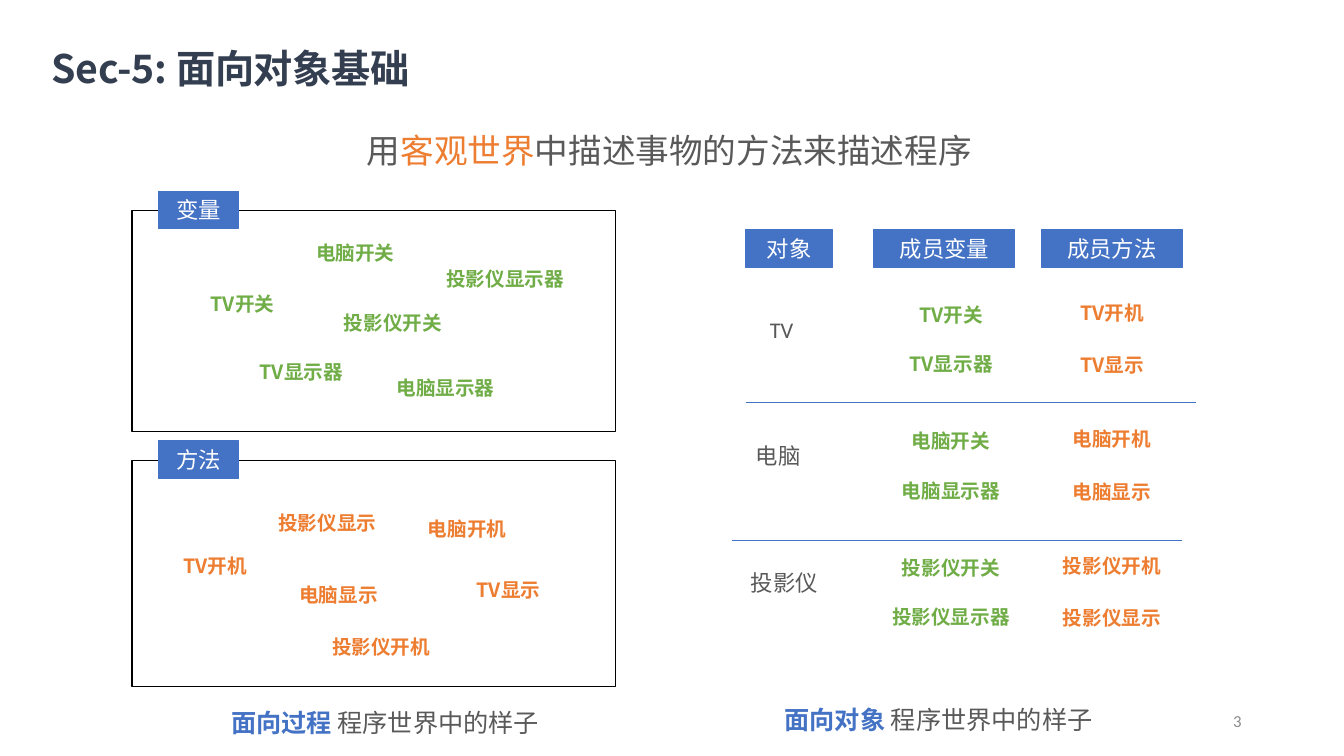
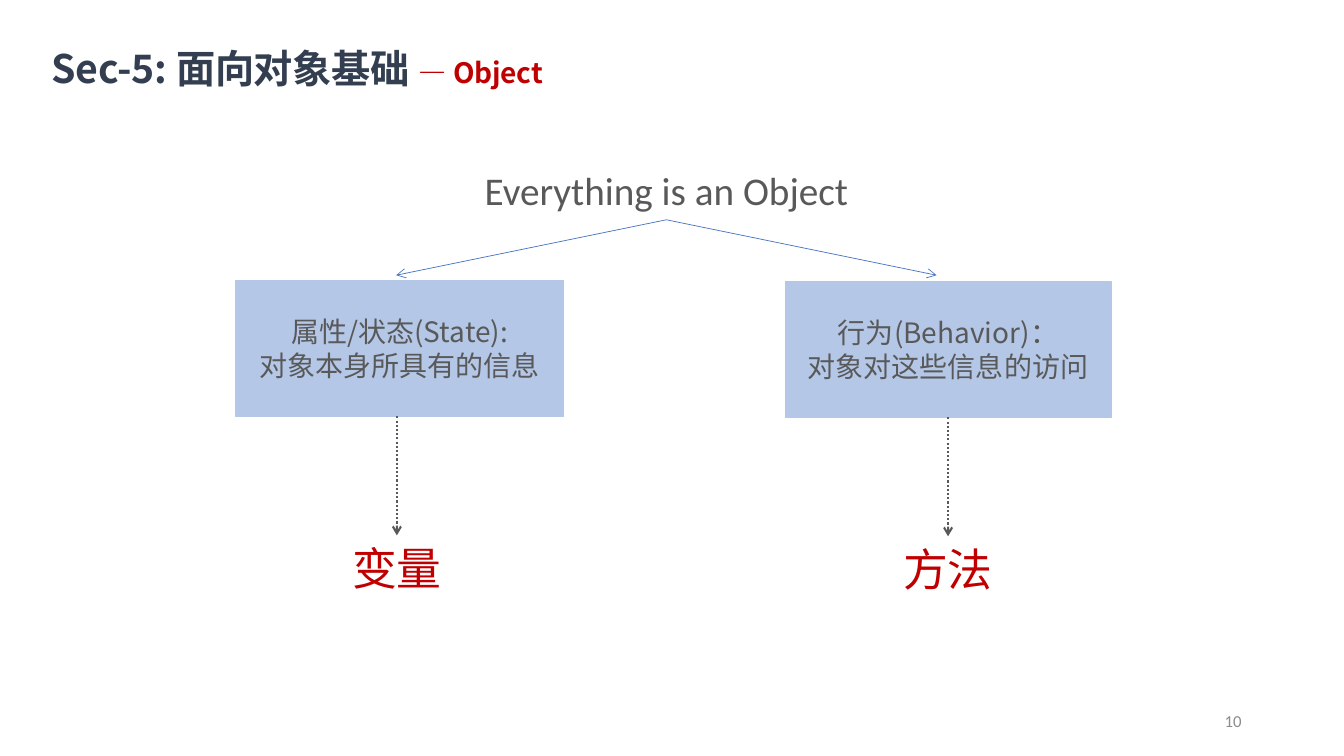
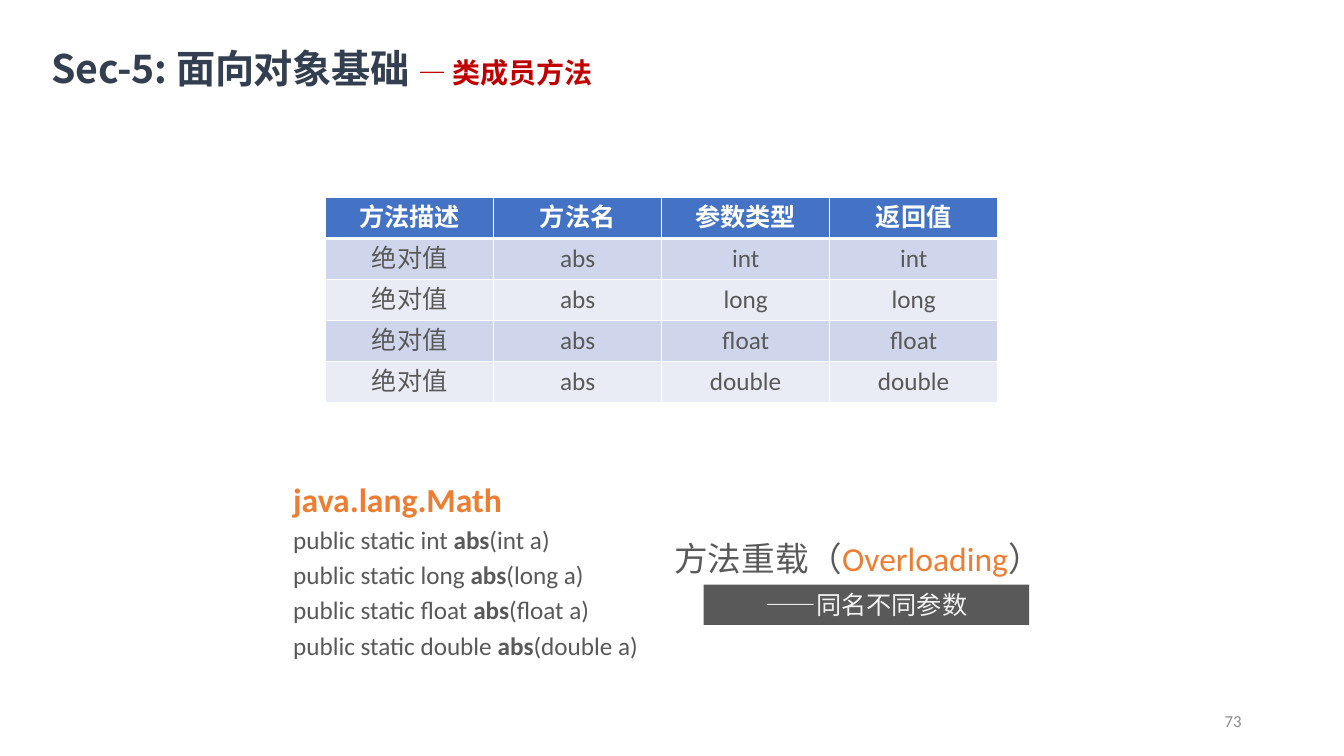
import pptx
import pptx.dml.color
import pptx.enum.dml
import pptx.enum.shapes
import pptx.enum.text
import pptx.oxml.ns
import pptx.util
from lxml import etree

Pt = pptx.util.Pt
RGBColor = pptx.dml.color.RGBColor
ALIGN = pptx.enum.text.PP_ALIGN
ANCHOR = pptx.enum.text.MSO_ANCHOR
DASH = pptx.enum.dml.MSO_LINE
RECTANGLE = pptx.enum.shapes.MSO_SHAPE.RECTANGLE
STRAIGHT = pptx.enum.shapes.MSO_CONNECTOR.STRAIGHT
qn = pptx.oxml.ns.qn

LATIN, CHINESE = "Calibri", "Noto Sans CJK SC"

BLACK = RGBColor(0x00, 0x00, 0x00)
WHITE = RGBColor(0xFF, 0xFF, 0xFF)
OFF_WHITE = RGBColor(0xF2, 0xF2, 0xF2)
GRAY = RGBColor(0x59, 0x59, 0x59)
PAGE_GRAY = RGBColor(0x8C, 0x8C, 0x8C)
NAVY = RGBColor(0x33, 0x3F, 0x50)
BLUE = RGBColor(0x44, 0x72, 0xC4)
PALE_BLUE = RGBColor(0xB4, 0xC7, 0xE7)
GREEN = RGBColor(0x70, 0xAD, 0x47)
ORANGE = RGBColor(0xED, 0x7D, 0x31)
RED = RGBColor(0xC0, 0x00, 0x00)
BAND_DARK = RGBColor(0xCF, 0xD5, 0xEA)
BAND_LIGHT = RGBColor(0xE9, 0xEB, 0xF5)


# Text and shape helpers

def add_run(paragraph, text, size, color, font=CHINESE, bold=False, spacing=None):
    run = paragraph.add_run()
    run.text = text
    run.font.name = font
    run.font.size = Pt(size)
    run.font.bold = bold
    run.font.color.rgb = color
    properties = run.font._element
    properties.set("lang", "zh-CN")
    if spacing is not None:
        properties.set("spc", str(spacing))
    if font == CHINESE:
        etree.SubElement(properties, qn("a:ea")).set("typeface", font)


def fill_frame(frame, paragraphs, align, anchor=ANCHOR.TOP, gap=0, line_height=None):
    """Each paragraph is a list of runs; each run is a tuple for add_run."""
    frame.word_wrap = True
    frame.vertical_anchor = anchor
    for index, runs in enumerate(paragraphs):
        paragraph = frame.add_paragraph() if index else frame.paragraphs[0]
        paragraph.alignment = align
        if index and gap:
            paragraph.space_before = Pt(gap)
        if line_height:
            paragraph.line_spacing = Pt(line_height)
        for run in runs:
            add_run(paragraph, *run)


def add_text(slide, box, paragraphs, align=ALIGN.CENTER, **layout):
    shape = slide.shapes.add_textbox(*map(Pt, box))
    fill_frame(shape.text_frame, paragraphs, align, **layout)
    return shape


def add_box(slide, box, fill=None, line=None, width=0.75, paragraphs=(), **layout):
    shape = slide.shapes.add_shape(RECTANGLE, *map(Pt, box))
    shape.shadow.inherit = False
    if fill is None:
        shape.fill.background()
    else:
        shape.fill.solid()
        shape.fill.fore_color.rgb = fill
    if line is None:
        shape.line.fill.background()
    else:
        shape.line.color.rgb = line
        shape.line.width = Pt(width)
    fill_frame(shape.text_frame, paragraphs, ALIGN.CENTER, **layout)


def add_line(slide, start, end, color, width, dash=None, arrow=False):
    connector = slide.shapes.add_connector(STRAIGHT, *map(Pt, (*start, *end)))
    connector.line.color.rgb = color
    connector.line.width = Pt(width)
    if dash is not None:
        connector.line.dash_style = dash
    if arrow:
        line = connector.line._get_or_add_ln()
        etree.SubElement(line, qn("a:tailEnd")).set("type", "arrow")
    etree.SubElement(connector._element.spPr, qn("a:effectLst"))


# Parts shared by the slides

def new_slide(presentation, page, subtitle=None):
    slide = presentation.slides.add_slide(presentation.slide_layouts[6])
    heading = "Sec-5: 面向对象基础"
    if subtitle:
        runs = [(heading + " ", 28, NAVY, CHINESE, True, -10),
                ("— " + subtitle, 20, RED, CHINESE, True, -10)]
    else:
        runs = [(heading, 28, NAVY, CHINESE, True, -10)]
    title = add_text(slide, (36.7, 30.6, 677, 34.6), [runs], ALIGN.LEFT)
    frame = title.text_frame
    frame.margin_left = frame.margin_right = frame.margin_bottom = 0
    frame.margin_top = Pt(0.7)
    add_text(slide, (678, 500.4, 216, 28.8), [[(page, 12, PAGE_GRAY, LATIN)]],
             ALIGN.RIGHT, anchor=ANCHOR.MIDDLE)
    return slide


def add_tag(slide, left, top, width, text):
    add_box(slide, (left, top, width, 26.6), BLUE, BLUE,
            paragraphs=[[(text, 16, WHITE)]])


def add_word(slide, center, top, text, color):
    add_text(slide, (center - 70, top, 140, 28.8),
             [[(text, 14, color, CHINESE, True)]])


# Slide 1: procedures against objects

def add_word_panel(slide, box, tag, color, words):
    left, top, width, height = box
    add_box(slide, box, line=BLACK, width=1)
    for text, center, offset in words:
        add_word(slide, left + center, top + offset, text, color)
    add_tag(slide, left + 18.7, top - 14, 57.6, tag)


def add_object_matrix(slide, left, top):
    variable_center, method_center = left + 156.5, left + 271.5
    for text, offset, width in (("对象", 10, 62), ("成员变量", 101.4, 100.8),
                                ("成员方法", 221, 100.8)):
        add_tag(slide, left + offset, top, width, text)
    rows = (("TV", 20, LATIN), ("电脑", 10, CHINESE), ("投影仪", 6.4, CHINESE))
    for index, (name, offset, font) in enumerate(rows):
        row_top = top + 47 + 90.4 * index
        add_text(slide, (left + offset, row_top + 11, 98.6, 31),
                 [[(name, 16, GRAY, font)]], ALIGN.LEFT)
        for step, (variable, method) in enumerate((("开关", "开机"), ("显示器", "显示"))):
            add_word(slide, variable_center, row_top + 1.4 + 35.3 * step,
                     name + variable, GREEN)
            add_word(slide, method_center, row_top + 37.5 * step, name + method, ORANGE)
    for offset, drop in ((10, 123.1), (0, 221.8)):
        add_line(slide, (left + offset, top + drop), (left + offset + 321.5, top + drop),
                 BLUE, 0.5)


def add_caption(slide, left, top, subject):
    add_text(slide, (left, top, 262, 28.8),
             [[(subject, 18, BLUE, CHINESE, True), (" 程序世界中的样子", 18, GRAY)]])


def build_comparison_slide(presentation):
    slide = new_slide(presentation, "3")
    add_text(slide, (255, 89.3, 470, 41),
             [[("用", 24, GRAY, LATIN), ("客观世界", 24, ORANGE, LATIN),
               ("中描述事物的方法来描述程序", 24, GRAY, LATIN)]], ALIGN.LEFT)
    add_word_panel(slide, (94.3, 150.5, 345.6, 157.7), "变量", GREEN, (
        ("TV开关", 79, 54.7), ("电脑开关", 159.5, 18), ("TV显示器", 121, 103),
        ("投影仪开关", 186.5, 67.7), ("电脑显示器", 224, 114.5),
        ("投影仪显示器", 266.5, 36.7)))
    add_word_panel(slide, (94.3, 329, 345.6, 161.3), "方法", ORANGE, (
        ("TV开机", 59.5, 63.4), ("电脑显示", 147.5, 83.5), ("电脑开机", 239.5, 36.7),
        ("投影仪开机", 178, 121), ("投影仪显示", 139.5, 32.4), ("TV显示", 269, 80)))
    add_object_matrix(slide, 522.8, 164.2)
    add_caption(slide, 144, 501.8, "面向过程")
    add_caption(slide, 539.3, 499.7, "面向对象")


# Slide 2: state and behaviour of an object

def add_branch(slide, root, arrow_x, box, lines, result):
    left, top, width, height = box
    center, bottom = left + width / 2, top + height
    add_line(slide, root, (arrow_x, 196.6), BLUE, 0.5, arrow=True)
    add_box(slide, box, PALE_BLUE, PALE_BLUE, 1,
            [[(line, 20, GRAY)] for line in lines],
            anchor=ANCHOR.MIDDLE, line_height=24)
    stem = center - 2 if arrow_x < root[0] else center
    add_line(slide, (stem, bottom), (stem, bottom + 85), GRAY, 1.5,
             DASH.ROUND_DOT, True)
    add_text(slide, (stem - 91.5, bottom + 85.5, 183, 46), [[(result, 32, RED)]])


def build_object_slide(presentation):
    slide = new_slide(presentation, "10", "Object")
    add_text(slide, (306, 115.2, 340, 41),
             [[("Everything is an Object", 28, GRAY, LATIN)]])
    root = (476, 157)
    add_branch(slide, root, 283, (168.5, 200.2, 234, 97.2),
               ("属性/状态(State):", "对象本身所具有的信息"), "变量")
    add_branch(slide, root, 669, (560.9, 200.9, 232.6, 97.2),
               ("行为(Behavior)：", "对象对这些信息的访问"), "方法")


# Slide 3: method overloading

def add_cell_borders(cell, bottom_width):
    properties = cell._tc.get_or_add_tcPr()
    for side, width in (("L", 1), ("R", 1), ("T", 1), ("B", bottom_width)):
        line = etree.SubElement(properties, qn("a:ln" + side))
        line.set("w", str(Pt(width)))
        solid = etree.SubElement(line, qn("a:solidFill"))
        etree.SubElement(solid, qn("a:srgbClr")).set("val", str(WHITE))


def add_method_table(slide, left, top, rows):
    column_width, row_height = 120, 29.3
    columns = len(rows[0])
    table = slide.shapes.add_table(
        len(rows), columns, Pt(left), Pt(top),
        Pt(column_width * columns), Pt(row_height * len(rows))).table
    for column in table.columns:
        column.width = Pt(column_width)
    for row_index, texts in enumerate(rows):
        table.rows[row_index].height = Pt(row_height)
        header = row_index == 0
        band = BLUE if header else (BAND_LIGHT, BAND_DARK)[row_index % 2]
        for column_index, text in enumerate(texts):
            cell = table.cell(row_index, column_index)
            add_cell_borders(cell, 3 if header else 1)
            cell.fill.solid()
            cell.fill.fore_color.rgb = band
            paragraph = cell.text_frame.paragraphs[0]
            paragraph.alignment = ALIGN.CENTER
            paragraph.line_spacing = Pt(22)
            add_run(paragraph, text, 18, WHITE if header else GRAY, LATIN, header)


def add_signatures(slide, box, types):
    paragraphs = [[("java.lang.Math", 24, ORANGE, LATIN, True)]]
    for name in types:
        paragraphs.append([(f"public static {name} ", 18, GRAY, LATIN),
                           ("abs", 18, GRAY, LATIN, True),
                           (f"({name} a)", 18, GRAY, LATIN)])
    add_text(slide, box, paragraphs, ALIGN.LEFT, gap=3.6)


def build_overloading_slide(presentation):
    slide = new_slide(presentation, "73", "类成员方法")
    types = ("int", "long", "float", "double")
    add_method_table(slide, 232.6, 141.1,
                     [("方法描述", "方法名", "参数类型", "返回值")]
                     + [("绝对值", "abs", name, name) for name in types])
    add_signatures(slide, (202.3, 338.4, 280, 141), types)
    add_text(slide, (474.5, 381, 372, 36),
             [[("方法重载（", 24, GRAY, LATIN), ("Overloading", 24, ORANGE, LATIN),
               ("）", 24, GRAY, LATIN)]], ALIGN.LEFT)
    add_box(slide, (502.6, 417.6, 232.6, 28.8), GRAY,
            paragraphs=[[("——同名不同参数", 18, OFF_WHITE, LATIN)]])


def main():
    presentation = pptx.Presentation()
    presentation.slide_width, presentation.slide_height = Pt(960), Pt(540)
    build_comparison_slide(presentation)
    build_object_slide(presentation)
    build_overloading_slide(presentation)
    presentation.save("out.pptx")


if __name__ == "__main__":
    main()
